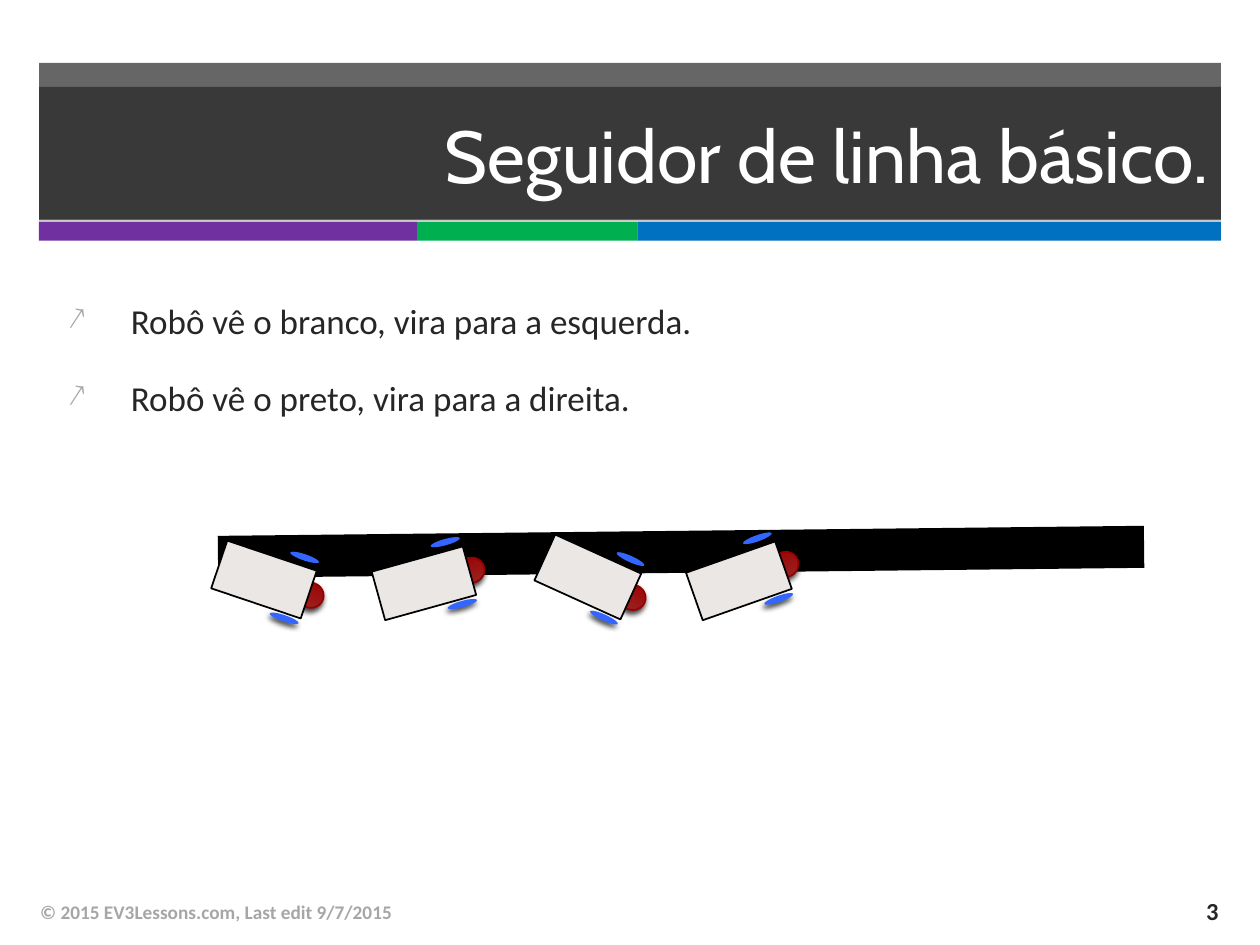
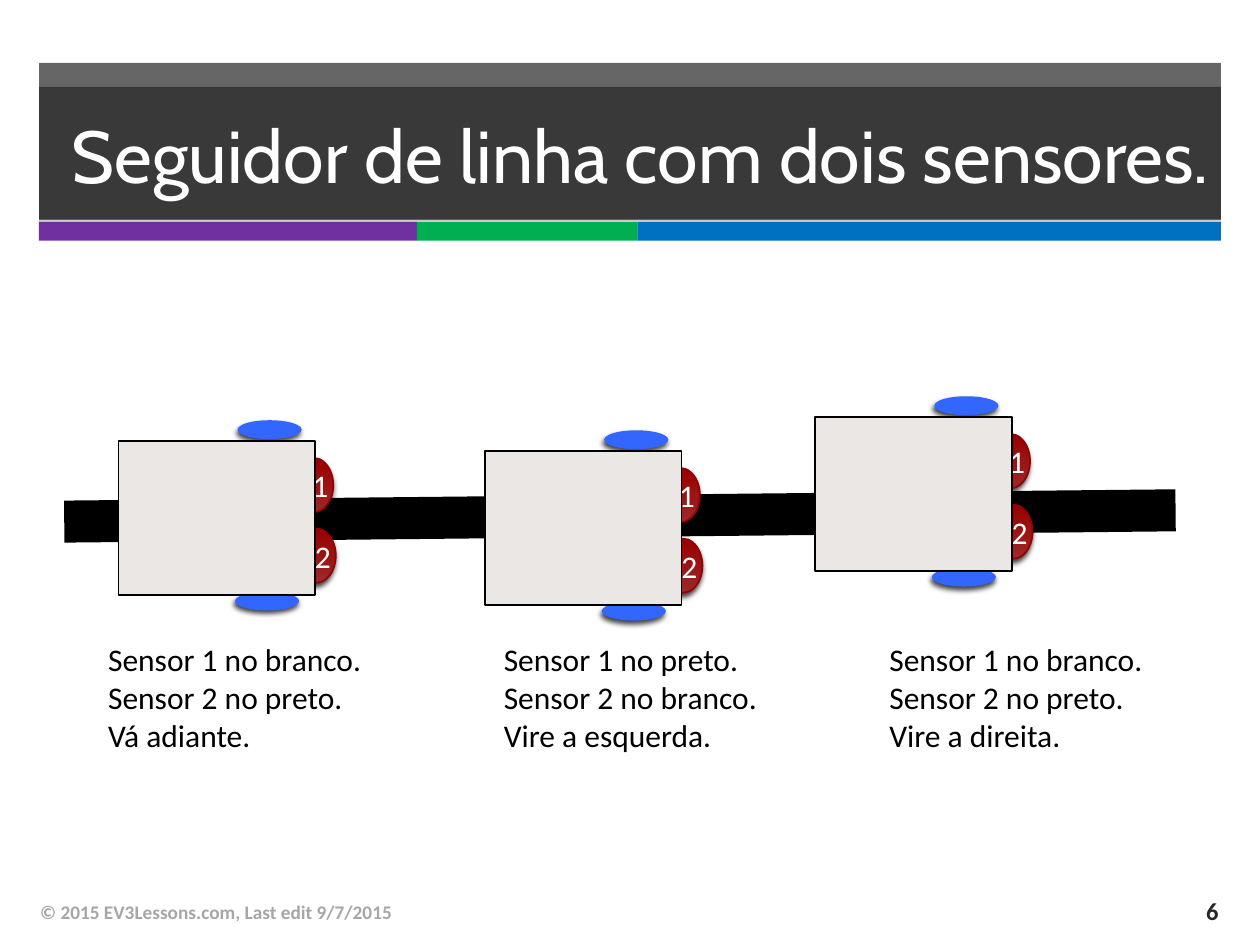
from dataclasses import dataclass
from math import cos, radians, sin

from lxml.etree import SubElement
from pptx import Presentation
from pptx.dml.color import RGBColor
from pptx.enum.shapes import MSO_CONNECTOR, MSO_SHAPE
from pptx.enum.text import MSO_ANCHOR, PP_ALIGN
from pptx.oxml.ns import qn
from pptx.util import Inches, Pt

COLORS = {
    "dark": "262626", "purple": "7030A0", "green": "00B050", "blue": "0070C0",
    "muted": "A6A6A6", "white": "FFFFFF", "black": "000000", "wheel": "3366FF",
    "body": "EAE7E4", "sensor_light": "9D2828", "sensor": "990000", "sensor_edge": "960000",
}
COPYRIGHT = "© 2015 EV3Lessons.com, Last edit 9/7/2015"
BAND_LEFT, BAND_WIDTH = 0.31, 9.38
STRIPES = [("purple", 3), ("green", 1.75), ("blue", 4.63)]


@dataclass
class Robot:
    """Part sizes, and part centres measured from the centre of the body."""
    body: tuple
    wheel: tuple
    sensor: tuple
    wheel_centres: list
    sensor_centres: list


SMALL_ROBOT = Robot((0.75, 0.4), (0.24, 0.05), (0.21, 0.2),
                    [(0.25, -0.27), (0.25, 0.24)], [(0.39, 0)])
LARGE_ROBOT = Robot((1.56, 1.22), (0.51, 0.15), (0.31, 0.43),
                    [(0.42, -0.7), (0.4, 0.66)], [(0.77, -0.26), (0.79, 0.3)])


def rgb(color):
    """Return the named colour."""
    return RGBColor.from_string(COLORS[color])


def add_solid(shapes, kind, box, color, edge=None):
    """Add a flat preset shape, with a thin edge when one is named."""
    shape = shapes.add_shape(kind, *map(Inches, box))
    shape.shadow.inherit = False
    shape.fill.solid()
    shape.fill.fore_color.rgb = rgb(color)
    if edge:
        shape.line.color.rgb = rgb(edge)
        shape.line.width = Pt(1)
    else:
        shape.line.fill.background()
    return shape


def add_band(slide, box):
    """Add a translucent dark rectangle."""
    band = add_solid(slide.shapes, MSO_SHAPE.RECTANGLE, box, "dark")
    color = band.fill._xPr.find(qn("a:solidFill"))[0]
    SubElement(color, qn("a:alpha"), val="70000")
    return band


def write(frame, lines, size, color, font="Calibri", bold=False, align=PP_ALIGN.LEFT,
          anchor=MSO_ANCHOR.MIDDLE):
    """Fill a text frame with evenly styled paragraphs."""
    frame.word_wrap = True
    frame.vertical_anchor = anchor
    frame.text = "\n".join(lines)
    for paragraph in frame.paragraphs:
        paragraph.alignment = align
        for run in paragraph.runs:
            run.font.size = Pt(size)
            run.font.name = font
            run.font.bold = bold
            run.font.color.rgb = rgb(color)


def add_text(slide, box, lines, size, color, **style):
    """Add a text box and return its frame."""
    frame = slide.shapes.add_textbox(*map(Inches, box)).text_frame
    write(frame, lines, size, color, **style)
    return frame


def add_bullets(slide, box, lines):
    """Add a list marked with grey arrows."""
    frame = add_text(slide, box, lines, 20, "dark", anchor=MSO_ANCHOR.TOP)
    for index, paragraph in enumerate(frame.paragraphs):
        properties = paragraph._p.get_or_add_pPr()
        properties.set("marL", str(Inches(0.5)))
        properties.set("indent", str(Inches(-0.5)))
        bullet_color = SubElement(properties, qn("a:buClr"))
        SubElement(bullet_color, qn("a:srgbClr"), val=COLORS["muted"])
        SubElement(properties, qn("a:buSzPct"), val="90000")
        SubElement(properties, qn("a:buChar"), char="↗")
        if index:
            paragraph.space_before = Pt(20)


def add_track(slide, start, end):
    """Add the thick black line that the robots follow."""
    track = slide.shapes.add_connector(MSO_CONNECTOR.STRAIGHT, *map(Inches, start + end))
    track.line.color.rgb = rgb("black")
    track.line.width = Pt(24)
    SubElement(track._element.spPr, qn("a:effectLst"))


def add_shadow(shape):
    """Give a shape a soft shadow below it."""
    effects = shape._element.spPr.find(qn("a:effectLst"))
    shadow = SubElement(effects, qn("a:outerShdw"), blurRad=str(Pt(3)), dist=str(Pt(2)),
                        dir=str(110 * 60000), rotWithShape="0")
    color = SubElement(shadow, qn("a:srgbClr"), val=COLORS["black"])
    SubElement(color, qn("a:alpha"), val="75000")


def paint_sensor(sensor):
    """Shade a sensor from dark red to light red."""
    sensor.fill.gradient()
    sensor.fill.gradient_angle = 90
    for stop, color in zip(sensor.fill.gradient_stops, ("sensor_light", "sensor")):
        stop.color.rgb = rgb(color)


def add_robot(slide, robot, left, top, angle=0, labels=()):
    """Add a robot turned about the centre of its body."""
    parts = slide.shapes.add_group_shape().shapes
    centre_x, centre_y = left + robot.body[0] / 2, top + robot.body[1] / 2
    turn = radians(angle)

    def add_part(kind, size, offset, color, edge=None):
        """Add one part at its turned offset."""
        x = centre_x + offset[0] * cos(turn) - offset[1] * sin(turn)
        y = centre_y + offset[0] * sin(turn) + offset[1] * cos(turn)
        box = (x - size[0] / 2, y - size[1] / 2, *size)
        part = add_solid(parts, kind, box, color, edge)
        part.rotation = angle
        return part

    for offset in robot.wheel_centres:
        add_shadow(add_part(MSO_SHAPE.OVAL, robot.wheel, offset, "wheel"))
    for index, offset in enumerate(robot.sensor_centres):
        sensor = add_part(MSO_SHAPE.OVAL, robot.sensor, offset, "sensor", "sensor_edge")
        paint_sensor(sensor)
        add_shadow(sensor)
        if labels:
            write(sensor.text_frame, [labels[index]], 18, "white", align=PP_ALIGN.CENTER)
    add_part(MSO_SHAPE.RECTANGLE, robot.body, (0, 0), "body", "black")


def add_base_slide(deck, title, number):
    """Add a slide with the title band, stripes and footer."""
    slide = deck.slides.add_slide(deck.slide_layouts[6])
    add_band(slide, (BAND_LEFT, 0.5, BAND_WIDTH, 1.24))
    left = BAND_LEFT
    for color, width in STRIPES:
        add_solid(slide.shapes, MSO_SHAPE.RECTANGLE, (left, 1.76, width, 0.15), color)
        left += width
    title_band = add_band(slide, (BAND_LEFT, 0.69, BAND_WIDTH, 1.06))
    write(title_band.text_frame, [title], 42, "white", font="Cabin", align=PP_ALIGN.RIGHT)
    add_text(slide, (0.22, 7.04, 6.7, 0.4), [COPYRIGHT], 11, "muted", bold=True)
    add_text(slide, (9.08, 7.03, 0.69, 0.39), [number], 14, "dark", bold=True,
             align=PP_ALIGN.RIGHT)
    return slide


def add_basic_follower(deck):
    """Add the slide on the follower with one sensor."""
    slide = add_base_slide(deck, "Seguidor de linha básico.", "3")
    add_bullets(slide, (0.44, 2.33, 6.01, 1.23),
                ["Robô vê o branco, vira para a esquerda.",
                 "Robô vê o preto, vira para a direita."])
    add_track(slide, (9.08, 4.34), (1.73, 4.42))
    for left, top, angle in [(1.72, 4.4, 18.6), (2.99, 4.43, -15.5),
                             (4.29, 4.38, 24.4), (5.49, 4.41, -19.4)]:
        add_robot(slide, SMALL_ROBOT, left, top, angle)


def add_two_sensor_follower(deck):
    """Add the slide on the follower with two sensors."""
    slide = add_base_slide(deck, "Seguidor de linha com dois sensores.", "6")
    add_track(slide, (9.33, 4.05), (0.51, 4.14))
    for left, top in [(0.94, 3.5), (3.85, 3.58), (6.47, 3.31)]:
        add_robot(slide, LARGE_ROBOT, left, top, labels="12")
    rules = [
        (0.76, 2.6, ["Sensor 1 no branco.", "Sensor 2 no preto.", "Vá adiante."]),
        (3.9, 2.51, ["Sensor 1 no preto.", "Sensor 2 no branco. Vire a esquerda."]),
        (6.96, 2.21, ["Sensor 1 no branco.", "Sensor 2 no preto. Vire a direita."]),
    ]
    for left, width, lines in rules:
        add_text(slide, (left, 5.03, width, 1.01), lines, 18, "black", anchor=MSO_ANCHOR.TOP)


def main():
    """Build and save the presentation."""
    deck = Presentation()
    deck.slide_width, deck.slide_height = Inches(10), Inches(7.5)
    add_basic_follower(deck)
    add_two_sensor_follower(deck)
    deck.save("out.pptx")


if __name__ == "__main__":
    main()
